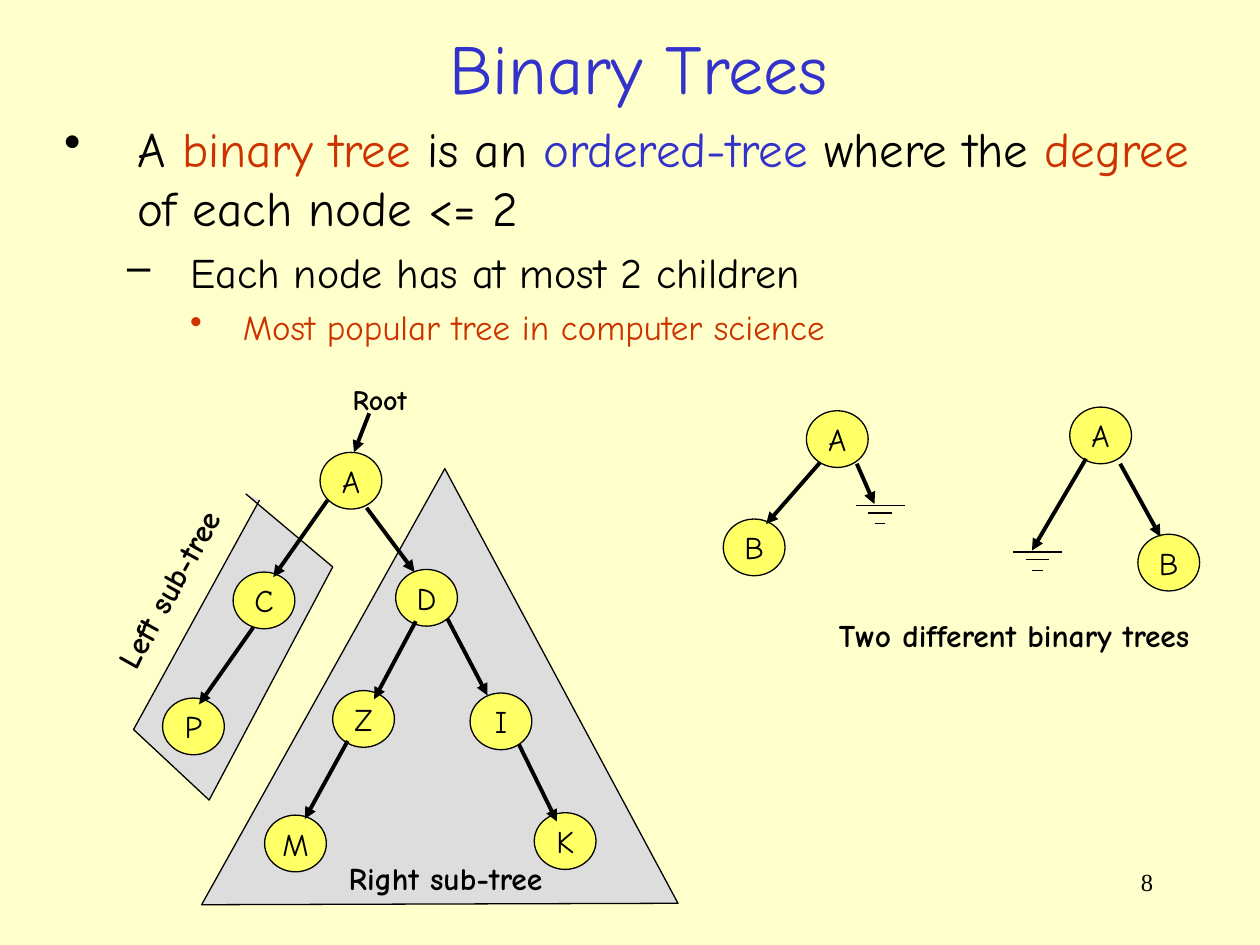
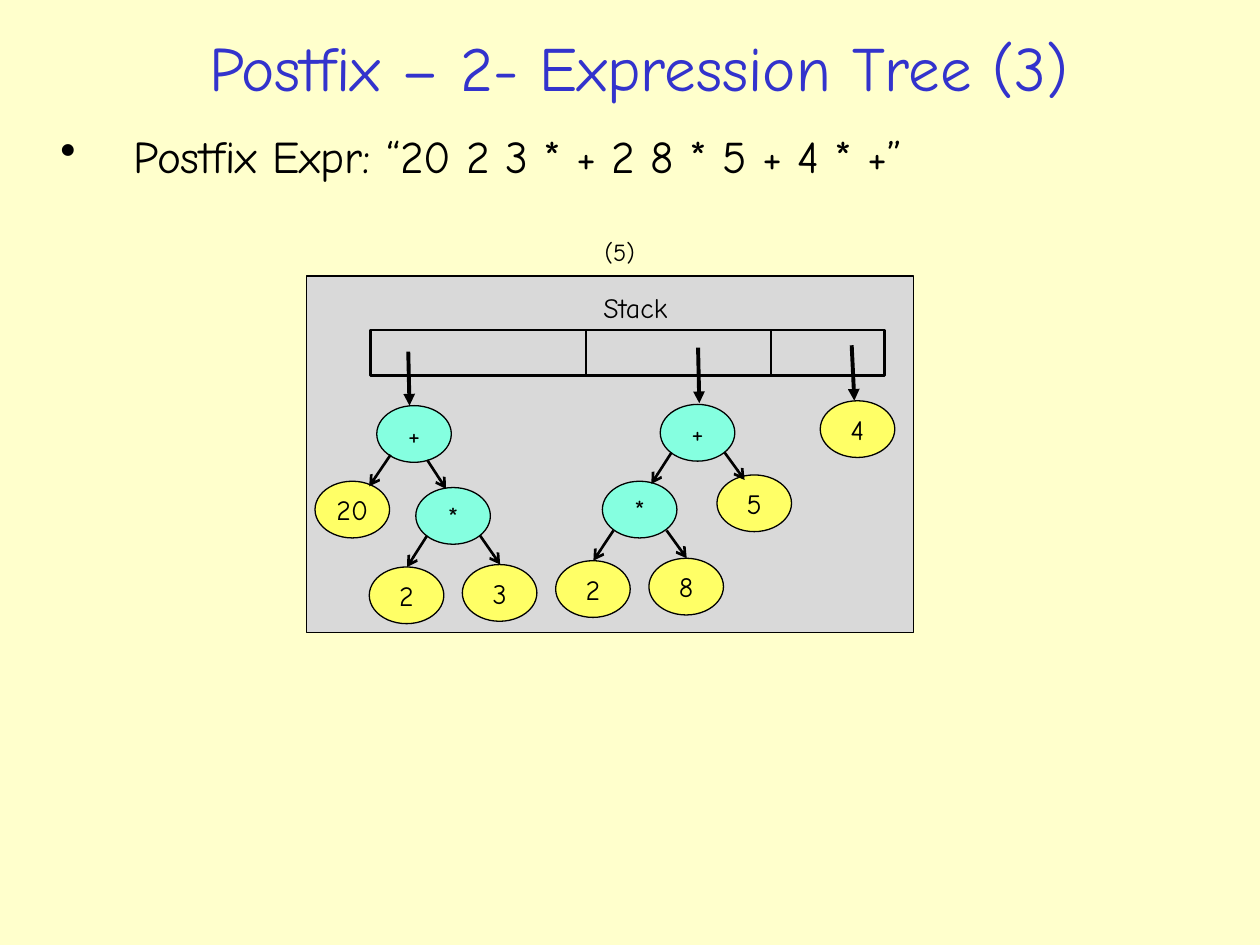
from lxml import etree
from pptx import Presentation
from pptx import util as u
from pptx.dml.color import RGBColor
from pptx.enum import shapes, text
from pptx.oxml import ns

Pt = u.Pt
colour = RGBColor.from_string
BLACK, BLUE, RED = "000000", "3333CC", "CC3300"
CREAM, YELLOW, TURQUOISE = "FFFFCC", "FFFF66", "85FFE0"
FONT = "Comic Neue"
LEFT, CENTRE, RIGHT = text.PP_ALIGN.LEFT, text.PP_ALIGN.CENTER, text.PP_ALIGN.RIGHT


def set_text(shape, words, size, ink=BLACK, align=LEFT, bold=False, font=FONT, wrap=False):
    frame = shape.text_frame
    frame.text = words
    frame.word_wrap = wrap
    paragraph = frame.paragraphs[0]
    paragraph.alignment = align
    run_font = paragraph.runs[0].font
    run_font.name, run_font.size, run_font.bold = font, Pt(size), bold
    run_font.color.rgb = colour(ink)
    return frame


def add_line(slide, x1, y1, x2, y2, width, head=None):
    line = slide.shapes.add_connector(
        shapes.MSO_CONNECTOR.STRAIGHT, Pt(x1), Pt(y1), Pt(x2), Pt(y2))
    line.line.color.rgb = colour(BLACK)
    line.line.width = Pt(width)
    if head:
        etree.SubElement(line.line._get_or_add_ln(), ns.qn("a:tailEnd"), type=head)
    etree.SubElement(line._element.spPr, ns.qn("a:effectLst"))


presentation = Presentation()
presentation.slide_width, presentation.slide_height = Pt(720), Pt(540)

# Wording: each paragraph is a list of (text, colour), its level sets the bullet
definition = [
    [("A ", BLACK), ("binary tree", RED), (" is an ", BLACK), ("ordered-tree", BLUE),
     (" where the ", BLACK), ("degree", RED), (" of each node <= 2", BLACK)],
    [("Each node has at most 2 children", BLACK)],
    [("Most popular tree in computer science", RED)],
]
postfix = [[("Postfix Expr: “20 2 3 * + 2 8 * 5 + 4 * +”", BLACK)]]

# Levels: bullet, left margin, hanging indent, space before
levels = [("•", 41.8, 41.8, 0), ("–", 72, 36, 6), ("•", 102.2, 30.2, 5)]

pages = [
    ("Binary Trees", 40, definition, (28, 24, 20), (29.5, 64.1, 670.3, 139.7)),
    ("Postfix – 2- Expression Tree (3)", 36, postfix, (25.9,), (27.4, 69.8, 663.1, 38.2)),
]

# Background, title and bullets of both slides
for title, title_size, body, sizes, body_box in pages:
    slide = presentation.slides.add_slide(presentation.slide_layouts[6])
    slide.background.fill.solid()
    slide.background.fill.fore_color.rgb = colour(CREAM)

    title_box = slide.shapes.add_textbox(Pt(21.6), Pt(10.8), Pt(686.9), Pt(54.7))
    frame = set_text(title_box, title, title_size, BLUE, CENTRE, wrap=True)
    frame.vertical_anchor = text.MSO_ANCHOR.MIDDLE

    frame = slide.shapes.add_textbox(*map(Pt, body_box)).text_frame
    frame.word_wrap = True
    for level, (runs, size) in enumerate(zip(body, sizes)):
        paragraph = frame.add_paragraph() if level else frame.paragraphs[0]
        bullet, margin, hanging, before = levels[level]
        paragraph.level = level
        paragraph.space_before = Pt(before)
        properties = paragraph._p.get_or_add_pPr()
        properties.set("marL", str(Pt(margin)))
        properties.set("indent", str(-Pt(hanging)))
        bullet_colour = etree.SubElement(properties, ns.qn("a:buClr"))
        etree.SubElement(bullet_colour, ns.qn("a:srgbClr"), val=runs[0][1])
        etree.SubElement(properties, ns.qn("a:buChar"), char=bullet)
        for words, ink in runs:
            run = paragraph.add_run()
            run.text = words
            run.font.name, run.font.size = FONT, Pt(size)
            run.font.color.rgb = colour(ink)

tree_slide, stack_slide = presentation.slides

# Grey areas behind the left and the right sub-tree
left_area = [(140.4, 282.2), (190.1, 324), (119.5, 457.2), (76.3, 416.9), (148.3, 285.8)]
right_area = [(254.2, 267.8), (115.2, 517), (387.4, 516.2)]
for corners, closed in [(left_area, False), (right_area, True)]:
    builder = tree_slide.shapes.build_freeform(
        Pt(corners[0][0]), Pt(corners[0][1]), scale=1.0)
    builder.add_line_segments([(Pt(x), Pt(y)) for x, y in corners[1:]], close=closed)
    area = builder.convert_to_shape()
    area.shadow.inherit = False
    area.fill.solid()
    area.fill.fore_color.rgb = colour("DDDDDD")
    area.line.color.rgb = colour(BLACK)
    area.line.width = Pt(0.75)

# Grey panel and the stack bar with its dividers
for box, fill, width in [((175, 157.7, 347, 203.8), "D9D9D9", 0.75),
                         ((211.7, 188.6, 293.8, 25.9), None, 1.5)]:
    panel = stack_slide.shapes.add_shape(shapes.MSO_SHAPE.RECTANGLE, *map(Pt, box))
    panel.shadow.inherit = False
    panel.line.color.rgb = colour(BLACK)
    panel.line.width = Pt(width)
    if fill:
        panel.fill.solid()
        panel.fill.fore_color.rgb = colour(fill)
    else:
        panel.fill.background()
for x in (334.8, 440.6):
    add_line(stack_slide, x, 189, x, 213.5, 1.5)

# Tree nodes: label, left, top
tree_nodes = [
    ("A", 182.9, 258.5), ("C", 133.2, 326.9), ("D", 226.1, 325.4), ("Z", 190.1, 394.6),
    ("I", 268.6, 396), ("K", 305.3, 464.4), ("P", 92.9, 398.9), ("M", 151.2, 465.8),
    ("A", 460.8, 234.7), ("B", 413.3, 296.6), ("A", 611.3, 232.6), ("B", 650.2, 305.3),
]
stack_nodes = [
    ("2", 211, 324), ("3", 264.2, 322.6), ("*", 237.6, 278.6), ("20", 180, 275),
    ("+", 215.3, 231.8), ("2", 317.5, 320.4), ("8", 370.8, 319), ("*", 344.2, 275),
    ("5", 409.7, 271.4), ("+", 377.3, 231.1), ("4", 468.7, 229),
]
for slide, nodes, width, size in [(tree_slide, tree_nodes, 35.3, 18),
                                  (stack_slide, stack_nodes, 42.6, 16)]:
    for label, left, top in nodes:
        node = slide.shapes.add_shape(
            shapes.MSO_SHAPE.OVAL, Pt(left), Pt(top), Pt(width), Pt(32.4))
        node.shadow.inherit = False
        node.fill.solid()
        node.fill.fore_color.rgb = colour(TURQUOISE if label in "+*" else YELLOW)
        node.line.color.rgb = colour(BLACK)
        node.line.width = Pt(0.75)
        frame = set_text(node, label, size, align=CENTRE)
        frame.vertical_anchor = text.MSO_ANCHOR.MIDDLE

# Arrows: from x, y to x, y
tree_arrows = [
    (187.2, 285.8, 156.2, 329.8), (209.5, 290.2, 236.9, 326.9),
    (237.6, 355, 213.8, 399.6), (255.6, 353.5, 278.6, 397.4),
    (296.6, 425.5, 318.2, 469.4), (211, 236.2, 202.3, 258.5),
    (144.7, 358.6, 113.8, 402.5), (198.7, 423.4, 174.2, 468),
    (468.7, 264.2, 437.8, 299.5), (489.6, 265, 499.7, 288),
    (640.1, 265, 663.1, 306.7), (620.6, 262.1, 589.7, 314.6),
]
stack_arrows = [
    (233.3, 200.9, 234, 231.8), (398.9, 198.7, 399.6, 230.4), (486.7, 197.3, 488.2, 229),
]
child_arrows = [
    (244.1, 306, 232.6, 324), (274.3, 306, 285.8, 322.6),
    (244.1, 262.8, 254.9, 279.4), (223.2, 259.9, 211, 277.9),
    (350.6, 303.1, 339.1, 320.4), (380.9, 303.1, 392.4, 319),
    (383.8, 258.5, 372.2, 276.5), (414, 258.5, 425.5, 274.3),
]
for slide, arrows, width, head in [(tree_slide, tree_arrows, 2.25, "triangle"),
                                   (stack_slide, stack_arrows, 2.25, "triangle"),
                                   (stack_slide, child_arrows, 1.5, "arrow")]:
    for ends in arrows:
        add_line(slide, *ends, width, head)

# Ground symbols for the empty children
for centre, top in [(502.9, 288.7), (592.9, 315.4)]:
    for half, drop in [(14, 0), (6.8, 4.5), (2.9, 10.5)]:
        add_line(tree_slide, centre - half, top + drop, centre + half, top + drop, 0.75)

# Labels: slide, text, size, bold, rotation, box
labels = [
    (tree_slide, "Root", 16, True, 0, (194.4, 215.3, 45.4, 26.6)),
    (tree_slide, "Right sub-tree", 18, True, 0, (192.2, 487.4, 125.3, 28.8)),
    (tree_slide, "Left sub-tree", 18, True, 299.2, (38.9, 321.8, 115.2, 28.8)),
    (tree_slide, "Two different binary trees", 18, True, 0, (472.3, 348.5, 216, 28.8)),
    (stack_slide, "Stack", 16, False, 0, (337.7, 162.7, 51.1, 26.6)),
    (stack_slide, "(5)", 14, False, 0, (338.4, 131.8, 31.7, 24.5)),
]
for slide, words, size, bold, rotation, box in labels:
    label = slide.shapes.add_textbox(*map(Pt, box))
    label.rotation = rotation
    frame = set_text(label, words, size, bold=bold)
    frame.auto_size = text.MSO_AUTO_SIZE.SHAPE_TO_FIT_TEXT

# Page number
number = tree_slide.shapes.add_textbox(Pt(516.2), Pt(491.8), Pt(149.8), Pt(36))
set_text(number, "8", 14, align=RIGHT, font="Times New Roman", wrap=True)

presentation.save("out.pptx")
